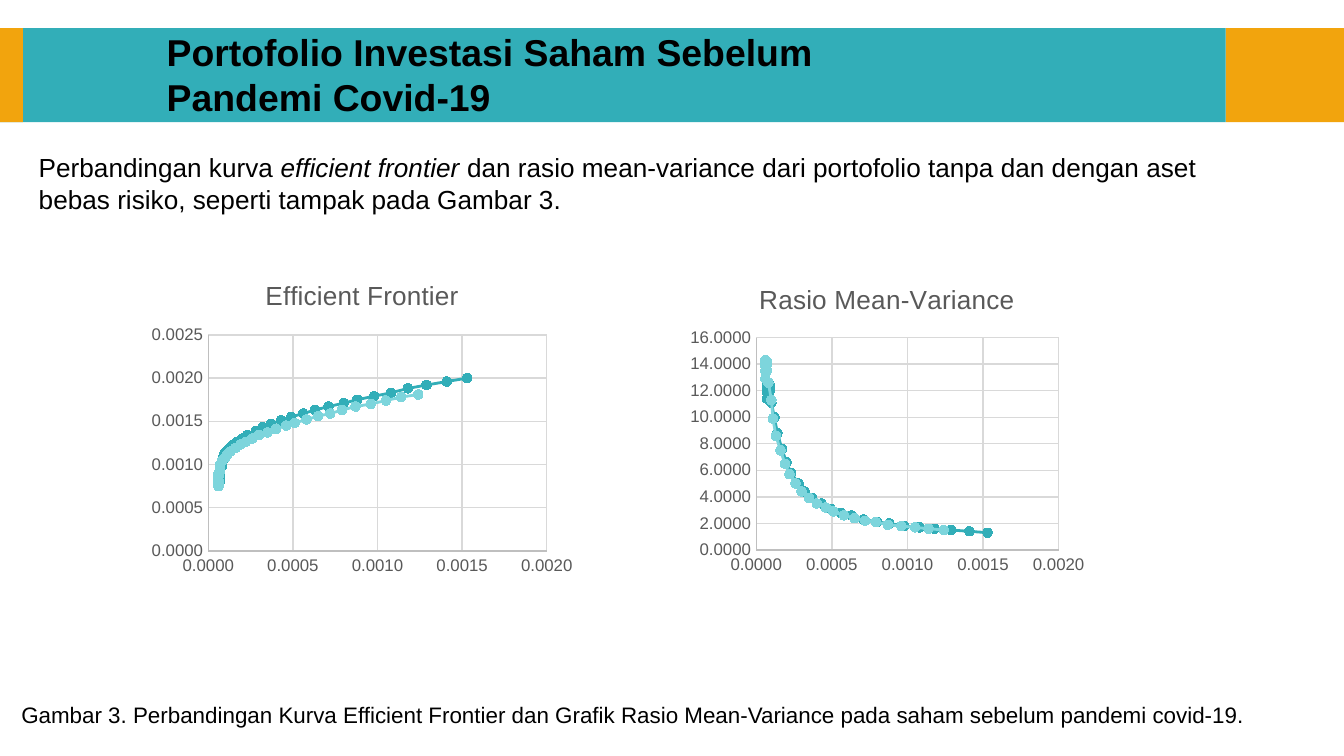
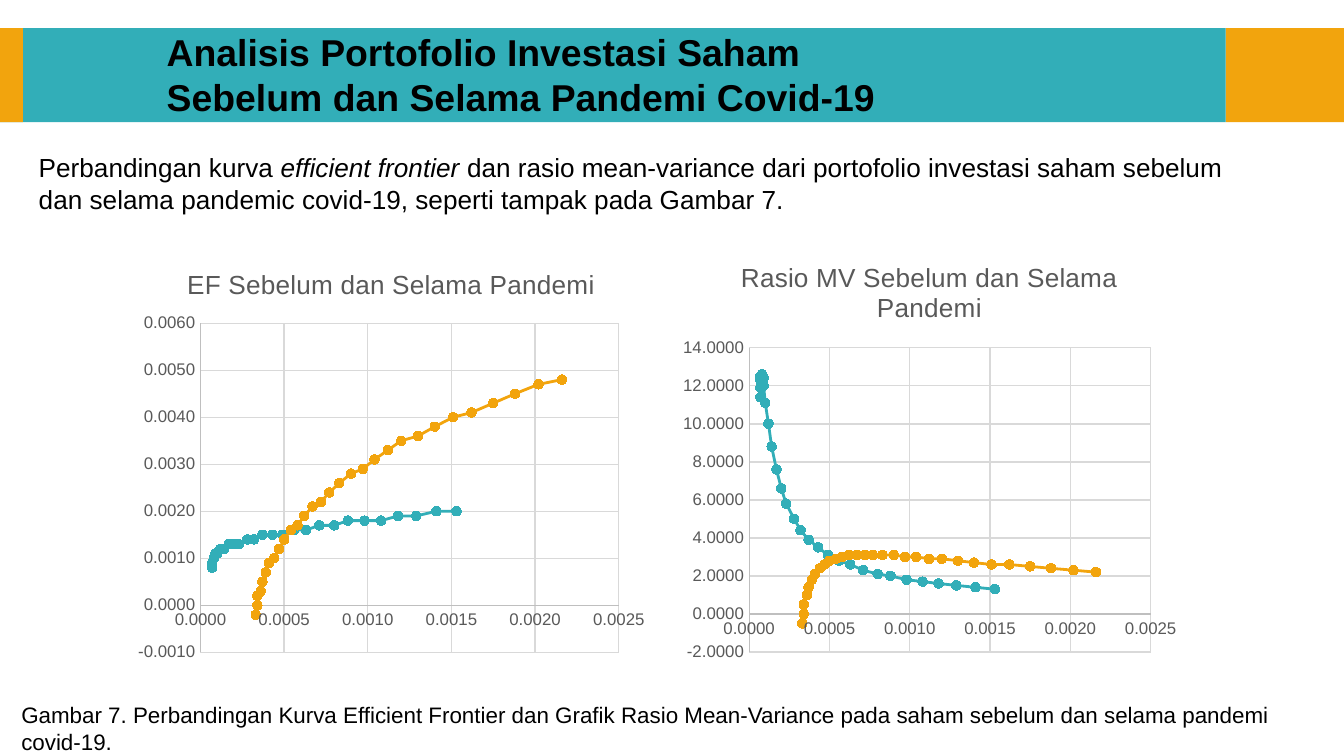
from lxml.etree import SubElement
from pptx import Presentation
from pptx.chart.data import XyChartData
from pptx.dml.color import RGBColor
from pptx.enum.chart import XL_CHART_TYPE, XL_MARKER_STYLE, XL_TICK_MARK
from pptx.enum.shapes import MSO_SHAPE
from pptx.enum.text import MSO_ANCHOR, MSO_AUTO_SIZE, PP_ALIGN
from pptx.oxml.ns import qn
from pptx.util import Inches, Pt

FONT = "Arial"
BLACK, GRAY, AXIS, GRID = "000000", "595959", "BFBFBF", "D9D9D9"
TEAL, LIGHT_TEAL, ORANGE = "32AEB8", "7DD5DC", "F2A40D"
BANDS = [(9.12, 0.88, ORANGE), (0, 9.12, TEAL), (0, 0.17, ORANGE)]


def even_returns(first, last, digits, count=30):
    step = (last - first) / (count - 1)
    return [round(first + i * step, digits) for i in range(count)]


def variances(*units):
    return [n / 100000 for n in units]


RISK_FREE_VAR = variances(
    6, 6, 6, 6, 6, 7, 7, 7, 8, 10, 11, 13, 16, 19, 22, 26, 30, 35, 40, 46,
    51, 58, 65, 72, 79, 87, 96, 105, 114, 124)
BEFORE_VAR = variances(
    7, 7, 7, 7, 8, 8, 9, 9, 10, 12, 14, 17, 20, 23, 28, 32, 37, 43, 49, 56,
    63, 71, 80, 88, 98, 108, 118, 129, 141, 153)
DURING_VAR = variances(
    33, 34, 34, 36, 37, 39, 41, 44, 47, 50, 54, 58, 62, 67, 72, 77, 83, 90,
    97, 104, 112, 120, 130, 140, 151, 162, 175, 188, 202, 216)
RISK_FREE_RATIO = [
    12.9, 13.5, 13.9, 14.2, 14.3, 14.2, 14, 13.5, 12.6, 11.3, 9.9, 8.6, 7.5,
    6.5, 5.7, 5, 4.4, 3.9, 3.5, 3.2, 2.9, 2.6, 2.4, 2.2, 2.1, 1.9, 1.8, 1.7,
    1.6, 1.5]
BEFORE_RATIO = [
    11.4, 11.9, 12.3, 12.5, 12.6, 12.6, 12.4, 12, 11.1, 10, 8.8, 7.6, 6.6,
    5.8, 5, 4.4, 3.9, 3.5, 3.1, 2.8, 2.6, 2.3, 2.1, 2, 1.8, 1.7, 1.6, 1.5,
    1.4, 1.3]
DURING_RATIO = [
    -0.5, 0, 0.5, 1, 1.4, 1.8, 2.1, 2.4, 2.6, 2.8, 2.9, 3, 3.1, 3.1, 3.1,
    3.1, 3.1, 3.1, 3, 3, 2.9, 2.9, 2.8, 2.7, 2.6, 2.6, 2.5, 2.4, 2.3, 2.2]
BEFORE_RANGE = (0.00081325, 0.0019979)

RISK_FREE_FRONTIER = (RISK_FREE_VAR, even_returns(0.000747, 0.0018135, 5), LIGHT_TEAL)
BEFORE_FRONTIER = (BEFORE_VAR, even_returns(*BEFORE_RANGE, 5), TEAL)
BEFORE_FRONTIER_ROUNDED = (BEFORE_VAR, even_returns(*BEFORE_RANGE, 4), TEAL)
DURING_FRONTIER = (DURING_VAR, even_returns(-0.00017, 0.00484, 4), ORANGE)
RISK_FREE_MV = (RISK_FREE_VAR, RISK_FREE_RATIO, LIGHT_TEAL)
BEFORE_MV = (BEFORE_VAR, BEFORE_RATIO, TEAL)
DURING_MV = (DURING_VAR, DURING_RATIO, ORANGE)


def rgb(color):
    return RGBColor.from_string(color)


def set_font(font, size, color=BLACK, bold=False):
    font.name, font.size, font.bold = FONT, Pt(size), bold
    font.color.rgb = rgb(color)


def set_line(line, color, width):
    line.color.rgb = rgb(color)
    line.width = Pt(width)


def add_bands(s, layout):
    for i, (left, width, color) in enumerate(BANDS):
        sp = s.shapes.add_shape(MSO_SHAPE.RECTANGLE, Inches(left), Inches(0.21),
                                Inches(width), Inches(0.7))
        sp.shadow.inherit = False
        sp.fill.solid()
        sp.fill.fore_color.rgb = rgb(color)
        sp.line.fill.background()
        layout.shapes.element.insert(2 + i, sp.element)


def set_title(s, text, width):
    sp = s.shapes.title
    sp.left, sp.top, sp.width, sp.height = map(Inches, (1.14, 0.17, width, 0.59))
    tf = sp.text_frame
    tf.word_wrap, tf.auto_size = True, MSO_AUTO_SIZE.NONE
    tf.vertical_anchor = MSO_ANCHOR.TOP
    tf.text = text
    p = tf.paragraphs[0]
    p.alignment, p.space_before = PP_ALIGN.LEFT, Pt(0)
    set_font(p.font, 20, bold=True)


def add_text(s, box, size, *parts):
    tf = s.shapes.add_textbox(*map(Inches, box)).text_frame
    tf.word_wrap = True
    p = tf.paragraphs[0]
    set_font(p.font, size)
    for i, part in enumerate(parts):
        r = p.add_run()
        r.text = part
        if i % 2:
            r.font.italic = True


def add_intro(s, ending):
    add_text(s, (0.19, 1.08, 9.37, 0.57), 14, "Perbandingan kurva ",
             "efficient frontier ", "dan rasio mean-variance dari portofolio " + ending)


def add_caption(s, number, period, height):
    add_text(s, (0.06, 5.17, 9.62, height), 12,
             f"Gambar {number}. Perbandingan Kurva Efficient Frontier dan Grafik "
             f"Rasio Mean-Variance pada saham {period} pandemi covid-19.")


def format_axis(axis, low, high, step):
    axis.minimum_scale, axis.maximum_scale, axis.major_unit = low, high, step
    axis.major_tick_mark = axis.minor_tick_mark = XL_TICK_MARK.NONE
    axis.has_major_gridlines = True
    set_line(axis.major_gridlines.format.line, GRID, 0.75)
    set_line(axis.format.line, AXIS, 0.75)
    labels = axis.tick_labels
    labels.number_format, labels.number_format_is_linked = "0.0000", False
    set_font(labels.font, 9, GRAY)


def place_plot(chart, plot_box):
    area = chart.plots[0]._element.getparent()
    for layout in area.findall(qn("c:layout")):
        area.remove(layout)
    layout = area.makeelement(qn("c:layout"))
    area.insert(0, layout)
    manual = SubElement(layout, qn("c:manualLayout"))
    settings = [("layoutTarget", "inner"), ("xMode", "edge"), ("yMode", "edge")]
    for tag, value in settings + list(zip("xywh", plot_box)):
        SubElement(manual, qn(f"c:{tag}")).set("val", str(value))


def add_scatter(s, title, box, plot_box, x_max, y_scale, curves):
    data = XyChartData(number_format="0.0000")
    for i, (xs, ys, _) in enumerate(curves, 1):
        series = data.add_series(f"Series {i}")
        for x, y in zip(xs, ys):
            series.add_data_point(x, y)
    chart = s.shapes.add_chart(XL_CHART_TYPE.XY_SCATTER_LINES,
                               *map(Inches, box), data).chart
    set_font(chart.font, 10)
    chart.has_legend = False
    chart.has_title = True
    tf = chart.chart_title.text_frame
    tf.text = title
    set_font(tf.paragraphs[0].font, 14, GRAY)
    format_axis(chart.category_axis, 0, x_max, 0.0005)
    format_axis(chart.value_axis, *y_scale)
    plot = chart.plots[0]
    plot.vary_by_categories = False
    for series, (_, _, color) in zip(plot.series, curves):
        set_line(series.format.line, color, 1.5)
        marker = series.marker
        marker.style, marker.size = XL_MARKER_STYLE.CIRCLE, 5
        marker.format.fill.solid()
        marker.format.fill.fore_color.rgb = rgb(color)
        set_line(marker.format.line, color, 0.75)
    place_plot(chart, plot_box)


def build_before(s):
    set_title(s, "Portofolio Investasi Saham Sebelum Pandemi Covid-19", 5.28)
    add_intro(s, "tanpa dan dengan aset bebas risiko, seperti tampak pada Gambar 3.")
    add_scatter(s, "Efficient Frontier", (1.06, 1.94, 3.27, 2.4),
                (0.15, 0.23, 0.77, 0.67), 0.002, (0, 0.0025, 0.0005),
                [RISK_FREE_FRONTIER, BEFORE_FRONTIER])
    add_scatter(s, "Rasio Mean-Variance", (5.08, 1.97, 3.04, 2.36),
                (0.18, 0.23, 0.74, 0.67), 0.002, (0, 16, 2),
                [RISK_FREE_MV, BEFORE_MV])
    add_caption(s, 3, "sebelum", 0.3)


def build_comparison(s):
    set_title(s, "Analisis Portofolio Investasi Saham Sebelum dan Selama "
                 "Pandemi Covid-19", 5.59)
    add_intro(s, "investasi saham sebelum dan selama pandemic covid-19, "
                 "seperti tampak pada Gambar 7.")
    add_caption(s, 7, "sebelum dan selama", 0.5)
    add_scatter(s, "EF Sebelum dan Selama Pandemi", (0.94, 1.84, 3.94, 3.14),
                (0.14, 0.18, 0.79, 0.78), 0.0025, (-0.001, 0.006, 0.001),
                [DURING_FRONTIER, BEFORE_FRONTIER_ROUNDED])
    add_scatter(s, "Rasio MV Sebelum dan Selama Pandemi", (5, 1.79, 3.83, 3.19),
                (0.15, 0.25, 0.78, 0.71), 0.0025, (-2, 14, 2),
                [DURING_MV, BEFORE_MV])


def main():
    prs = Presentation()
    prs.slide_width, prs.slide_height = Inches(10), Inches(5.625)
    layout = prs.slide_layouts[5]
    before, comparison = (prs.slides.add_slide(layout) for _ in range(2))
    add_bands(before, layout)
    build_before(before)
    build_comparison(comparison)
    prs.save("out.pptx")


if __name__ == "__main__":
    main()
